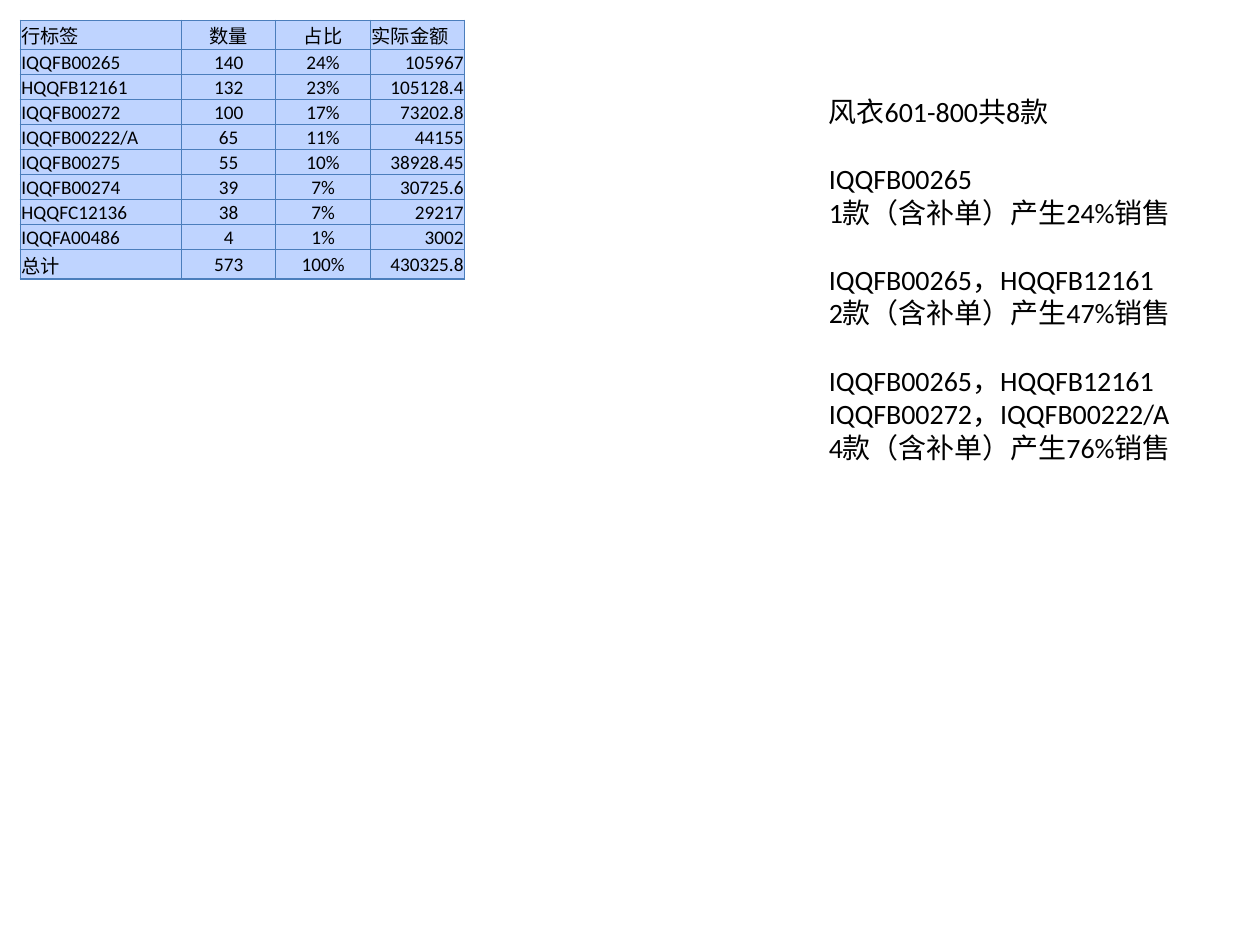
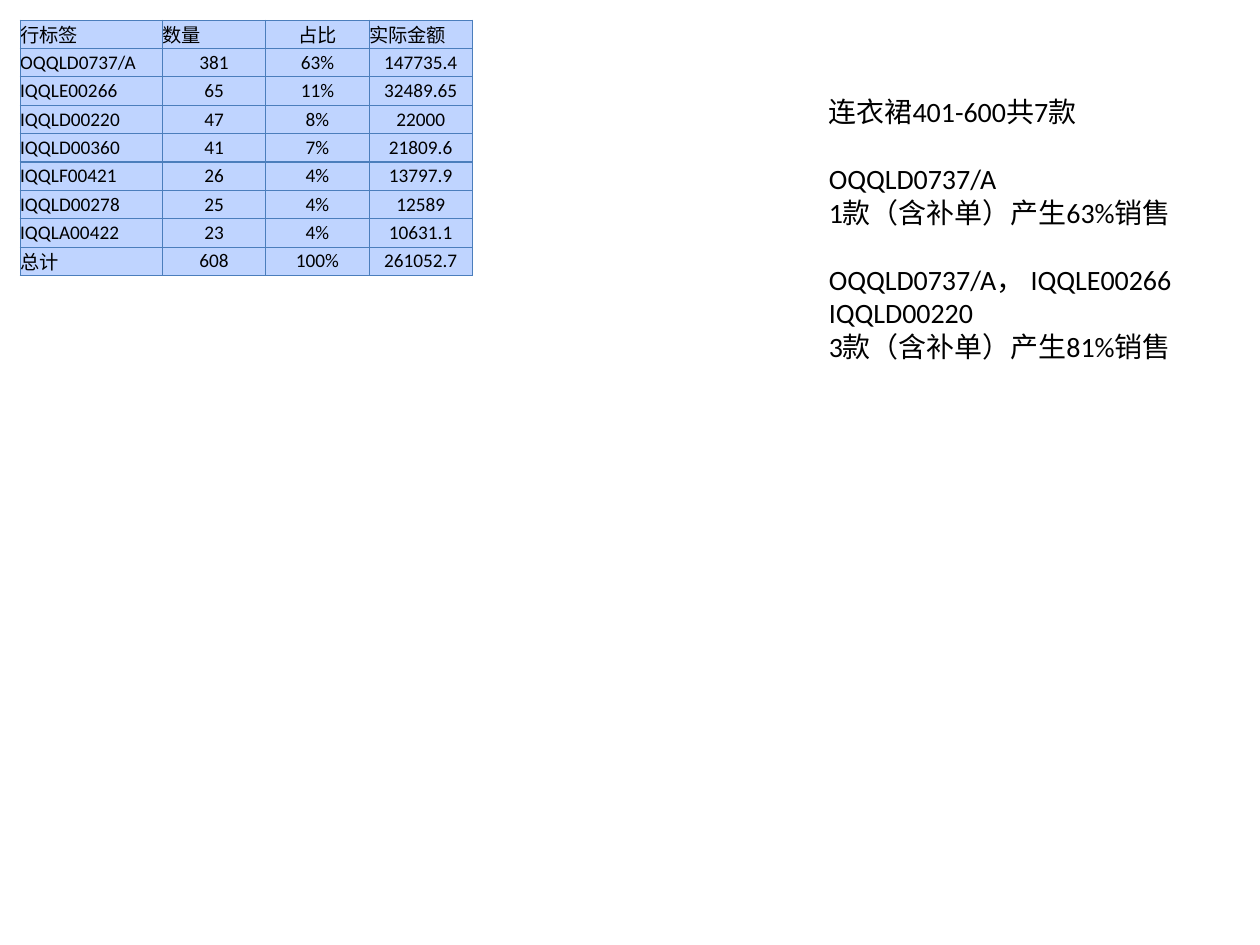
from lxml.etree import SubElement
from pptx import Presentation
from pptx.dml.color import RGBColor
from pptx.enum.text import MSO_ANCHOR, PP_ALIGN
from pptx.oxml.ns import qn
from pptx.util import Inches, Pt

COLORS = {"text": "000000", "fill": "BFD4FF", "line": "4B7EBC"}
FONT = "Calibri"
ALIGN = {"l": PP_ALIGN.LEFT, "c": PP_ALIGN.CENTER, "r": PP_ALIGN.RIGHT}
HEAD = ("行标签", "数量", "占比", "实际金额")
LEFT = TOP = 0.16

# Each page: table rows, its layout, and notes in groups of lines
PAGES = [
    {
        "rows": [
            ("IQQFB00265", "140", "24%", "105967"),
            ("HQQFB12161", "132", "23%", "105128.4"),
            ("IQQFB00272", "100", "17%", "73202.8"),
            ("IQQFB00222/A", "65", "11%", "44155"),
            ("IQQFB00275", "55", "10%", "38928.45"),
            ("IQQFB00274", "39", "7%", "30725.6"),
            ("HQQFC12136", "38", "7%", "29217"),
            ("IQQFA00486", "4", "1%", "3002"),
            ("总计", "573", "100%", "430325.8"),
        ],
        "cols": (1.28, 0.75, 0.75, 0.75), "height": 1.94, "inset": 0.01,
        "head": "lccl", "body": "lccr",
        "notes": [
            ["风衣601-800共8款"],
            ["IQQFB00265", "1款（含补单）产生24%销售"],
            ["IQQFB00265，HQQFB12161", "2款（含补单）产生47%销售"],
            ["IQQFB00265，HQQFB12161", "IQQFB00272，IQQFB00222/A",
             "4款（含补单）产生76%销售"],
        ],
        "box": (3.06, 5.65),
    },
    {
        "rows": [
            ("OQQLD0737/A", "381", "63%", "147735.4"),
            ("IQQLE00266", "65", "11%", "32489.65"),
            ("IQQLD00220", "47", "8%", "22000"),
            ("IQQLD00360", "41", "7%", "21809.6"),
            ("IQQLF00421", "26", "4%", "13797.9"),
            ("IQQLD00278", "25", "4%", "12589"),
            ("IQQLA00422", "23", "4%", "10631.1"),
            ("总计", "608", "100%", "261052.7"),
        ],
        "cols": (1.13, 0.82, 0.82, 0.82), "height": 2.03, "inset": 0,
        "head": "llcl", "body": "lccc",
        "notes": [
            ["连衣裙401-600共7款"],
            ["OQQLD0737/A", "1款（含补单）产生63%销售"],
            ["OQQLD0737/A， IQQLE00266", "IQQLD00220",
             "3款（含补单）产生81%销售"],
        ],
        "box": (2.96, 4.58),
    },
]


def style(para, size):
    para.font.name = FONT
    para.font.size = Pt(size)
    para.font.color.rgb = RGBColor.from_string(COLORS["text"])


def border(cell):
    props = cell._tc.get_or_add_tcPr()
    for side in ("lnL", "lnR", "lnT", "lnB"):
        line = SubElement(props, qn("a:" + side), w=str(Pt(0.75)))
        paint = SubElement(line, qn("a:solidFill"))
        SubElement(paint, qn("a:srgbClr"), val=COLORS["line"])


def fill_cell(cell, text, align, inset):
    cell.text = text
    cell.vertical_anchor = MSO_ANCHOR.MIDDLE
    cell.margin_left = cell.margin_right = cell.margin_top = Inches(inset)
    cell.margin_bottom = 0
    border(cell)
    cell.fill.solid()
    cell.fill.fore_color.rgb = RGBColor.from_string(COLORS["fill"])
    para = cell.text_frame.paragraphs[0]
    para.alignment = ALIGN[align]
    style(para, 11)


def add_sales(slide, page):
    rows = [HEAD] + page["rows"]
    cols = page["cols"]
    table = slide.shapes.add_table(
        len(rows), len(cols), Inches(LEFT), Inches(TOP),
        Inches(sum(cols)), Inches(page["height"])).table
    table.first_row = table.horz_banding = False
    for col, width in zip(table.columns, cols):
        col.width = Inches(width)
    for r, row in enumerate(rows):
        aligns = page["body"] if r else page["head"]
        for c, (text, align) in enumerate(zip(row, aligns)):
            fill_cell(table.cell(r, c), text, align, page["inset"])


def add_notes(slide, page):
    width, height = page["box"]
    frame = slide.shapes.add_textbox(
        Inches(6.48), Inches(0.7), Inches(width), Inches(height)).text_frame
    frame.word_wrap = True
    para = frame.paragraphs[0]
    for g, group in enumerate(page["notes"]):
        for n, text in enumerate(group):
            if g or n:
                para = frame.add_paragraph()
            para.text = text
            style(para, 16)
            # One line of space opens each later group
            if g and n == 0:
                para.space_before = Pt(19.2)


def main():
    deck = Presentation()
    deck.slide_width, deck.slide_height = Inches(10), Inches(7.5)
    for page in PAGES:
        slide = deck.slides.add_slide(deck.slide_layouts[6])
        add_sales(slide, page)
        add_notes(slide, page)
    deck.save("out.pptx")


if __name__ == "__main__":
    main()
